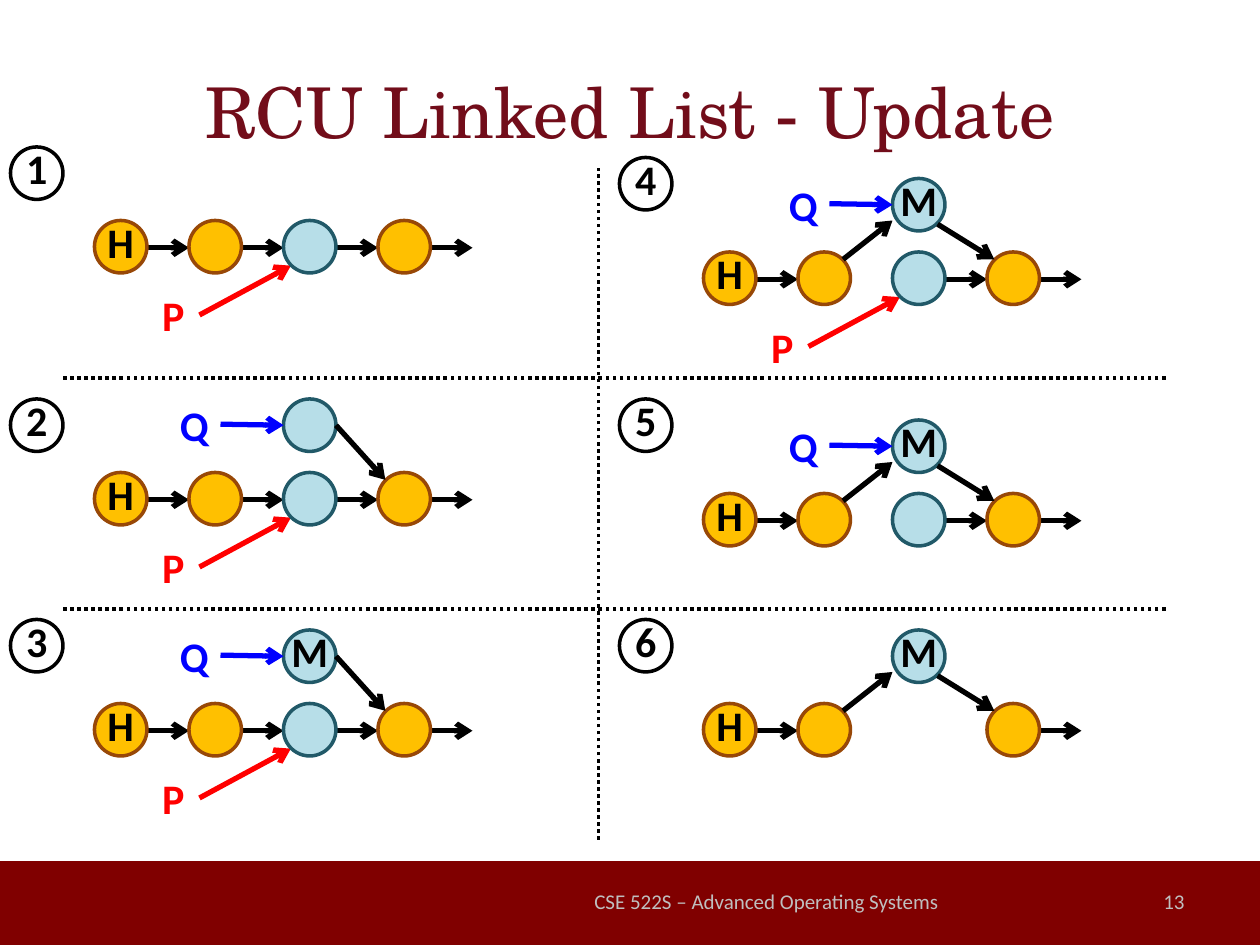
from dataclasses import dataclass
from typing import Any

from lxml.etree import SubElement
from pptx import Presentation
from pptx.dml.color import RGBColor
from pptx.enum.dml import MSO_LINE
from pptx.enum.shapes import MSO_CONNECTOR, MSO_SHAPE
from pptx.enum.text import MSO_ANCHOR, PP_ALIGN
from pptx.oxml.ns import qn
from pptx.util import Inches, Pt

CELL = 1 / 12
DIAMETER = 5
PITCH = 9
RISE = 7


@dataclass(frozen=True)
class Theme:
    band: str = "800000"
    title: str = "720D1A"
    footer: str = "BFBFBF"
    ink: str = "000000"
    reader: str = "FF0000"
    writer: str = "0000FF"
    node: tuple[str, str] = ("FFC000", "984807")
    target: tuple[str, str] = ("B7DEE8", "215968")
    title_font: str = "TeX Gyre Schola"
    body_font: str = "Calibri"
    title_size: int = 40
    label_size: int = 24
    footer_size: int = 12
    outline: int = 2
    arrow: int = 3


@dataclass(frozen=True)
class Panel:
    number: int
    column: float
    row: float
    badge_row: float
    new_node: bool = True
    new_label: str = ""
    relinked: bool = False
    old_node: bool = True
    reader: bool = True
    writer: bool = True


THEME = Theme()
LEFT, RIGHT = 9, 67
PANELS = (
    Panel(1, LEFT, 21, 14, new_node=False, writer=False),
    Panel(2, LEFT, 45, 38),
    Panel(3, LEFT, 67, 59, new_label="M"),
    Panel(4, RIGHT, 24, 15, new_label="M", relinked=True),
    Panel(5, RIGHT, 47, 38, new_label="M", relinked=True, reader=False),
    Panel(6, RIGHT, 67, 59, new_label="M", relinked=True, old_node=False,
          reader=False, writer=False),
)


def grid(*cells: float) -> list[int]:
    return [Inches(cell * CELL) for cell in cells]


def apply(target: Any, values: dict[str, Any]) -> None:
    for name, value in values.items():
        setattr(target, name, value)


def add_text(slide: Any, text: str, box: tuple[float, ...], color: str, size: int,
             font: str = THEME.body_font, bold: bool = False,
             align: PP_ALIGN = PP_ALIGN.CENTER, frame_format: dict | None = None) -> None:
    frame = slide.shapes.add_textbox(*grid(*box)).text_frame
    apply(frame, {"word_wrap": True, "vertical_anchor": MSO_ANCHOR.MIDDLE,
                  **(frame_format or {})})
    paragraph = frame.paragraphs[0]
    paragraph.alignment = align
    run = paragraph.add_run()
    run.text = text
    apply(run.font, {"name": font, "size": Pt(size), "bold": bold})
    run.font.color.rgb = RGBColor.from_string(color)


def add_label(slide: Any, text: str, column: float, row: float,
              color: str = THEME.ink) -> None:
    add_text(slide, text, (column, row, DIAMETER, 6), color, THEME.label_size, bold=True,
             frame_format={"vertical_anchor": MSO_ANCHOR.TOP,
                           "margin_left": 0, "margin_right": 0})


def add_circle(slide: Any, column: float, row: float, fill: str | None, line: str,
               label: str = "") -> None:
    shape = slide.shapes.add_shape(MSO_SHAPE.OVAL, *grid(column, row, DIAMETER, DIAMETER))
    shape.shadow.inherit = False
    if fill:
        shape.fill.solid()
        shape.fill.fore_color.rgb = RGBColor.from_string(fill)
    else:
        shape.fill.background()
    shape.line.color.rgb = RGBColor.from_string(line)
    shape.line.width = Pt(THEME.outline)
    if label:
        add_label(slide, label, column, row - 1)


def add_line(slide: Any, start: tuple[float, float], end: tuple[float, float],
             width: int, color: str = THEME.ink) -> Any:
    connector = slide.shapes.add_connector(MSO_CONNECTOR.STRAIGHT, *grid(*start, *end))
    connector.line.color.rgb = RGBColor.from_string(color)
    connector.line.width = Pt(width)
    SubElement(connector._element.spPr, qn("a:effectLst"))
    return connector


def add_arrow(slide: Any, panel: Panel, start: tuple[float, float],
              end: tuple[float, float], color: str = THEME.ink) -> None:
    points = [(panel.column + x, panel.row + y) for x, y in (start, end)]
    connector = add_line(slide, *points, THEME.arrow, color)
    SubElement(connector.line._get_or_add_ln(), qn("a:tailEnd"), type="arrow")


def add_divider(slide: Any, start: tuple[float, float], end: tuple[float, float]) -> None:
    add_line(slide, start, end, THEME.outline).line.dash_style = MSO_LINE.ROUND_DOT


def draw_panel(slide: Any, panel: Panel) -> None:
    column, row = panel.column, panel.row
    links = {0: True, 1: not panel.relinked, 2: panel.old_node, 3: True}
    for index, linked in links.items():
        if linked:
            start = index * PITCH + DIAMETER
            add_arrow(slide, panel, (start, 2.6), (start + 4, 2.6))
    for index, label in ((0, "H"), (1, ""), (3, "")):
        add_circle(slide, column + index * PITCH, row, *THEME.node, label)
    target = column + 2 * PITCH
    if panel.reader:
        add_arrow(slide, panel, (10, 9), (18.7, 4.3), THEME.reader)
        add_label(slide, "P", column + 5, row + 6, THEME.reader)
    if panel.old_node:
        add_circle(slide, target, row, *THEME.target)
    if panel.new_node:
        add_circle(slide, target, row - RISE, *THEME.target, panel.new_label)
        exit_point = (22.3, -2.65) if panel.relinked else (23, -4.5)
        add_arrow(slide, panel, exit_point, (27.7, 0.7))
    if panel.relinked:
        add_arrow(slide, panel, (13.3, 0.7), (18, -3))
    if panel.writer:
        add_arrow(slide, panel, (12, -4.6), (18, -4.5), THEME.writer)
        add_label(slide, "Q", column + 7, row - 7.5, THEME.writer)
    add_circle(slide, column - 8, panel.badge_row, None, THEME.ink, str(panel.number))


def draw_frame(slide: Any) -> None:
    band = slide.shapes.add_shape(MSO_SHAPE.RECTANGLE, *grid(0, 82, 120, 8))
    band.shadow.inherit = False
    band.fill.solid()
    band.fill.fore_color.rgb = RGBColor.from_string(THEME.band)
    band.line.fill.background()
    add_text(slide, "RCU Linked List - Update", (6, 3, 108, 15), THEME.title,
             THEME.title_size, THEME.title_font)
    add_text(slide, "CSE 522S – Advanced Operating Systems", (54, 83.4, 38, 4.8),
             THEME.footer, THEME.footer_size)
    add_text(slide, "13", (86, 83.4, 28, 4.8), THEME.footer, THEME.footer_size,
             align=PP_ALIGN.RIGHT)


def main() -> None:
    presentation = Presentation()
    apply(presentation, {"slide_width": Inches(10), "slide_height": Inches(7.5)})
    slide = presentation.slides.add_slide(presentation.slide_layouts[6])
    draw_frame(slide)
    for panel in PANELS:
        draw_panel(slide, panel)
    add_divider(slide, (57, 80), (57, 16))
    for row in (36, 58):
        add_divider(slide, (111, row), (6, row))
    presentation.save("out.pptx")


if __name__ == "__main__":
    main()
